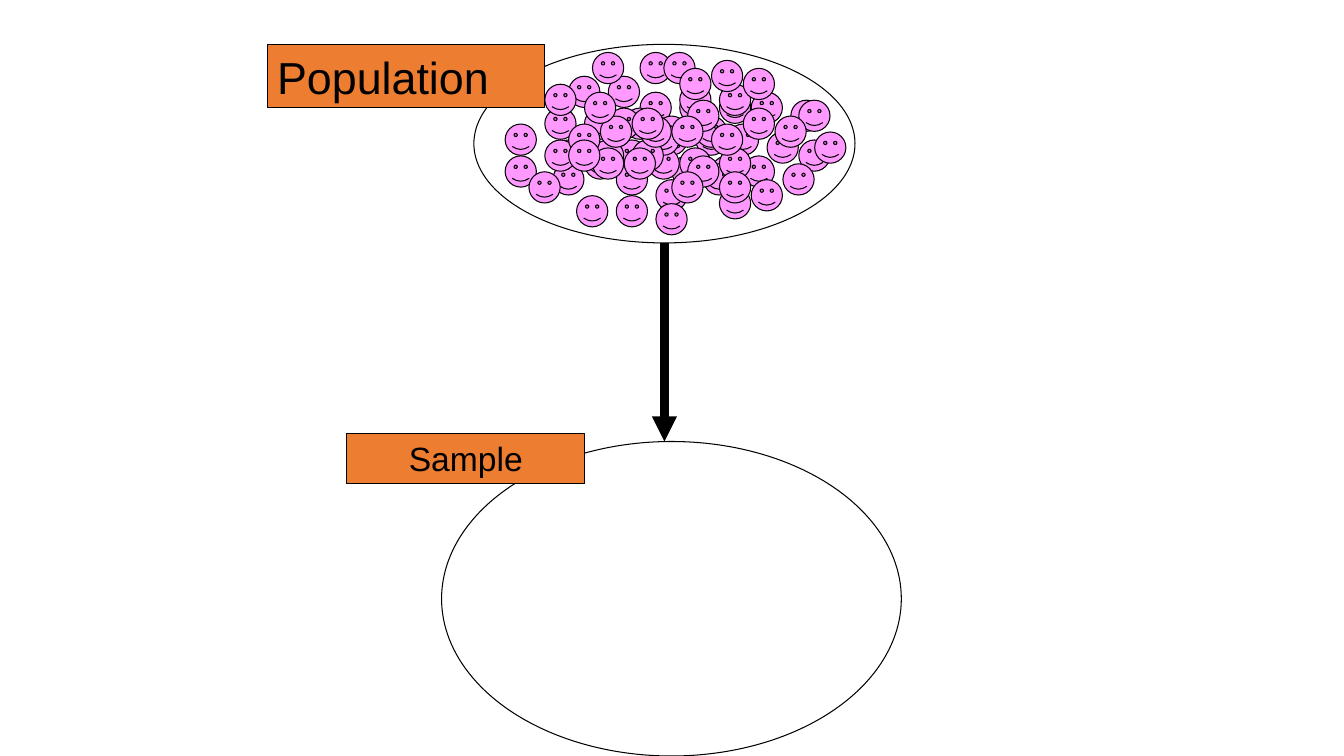
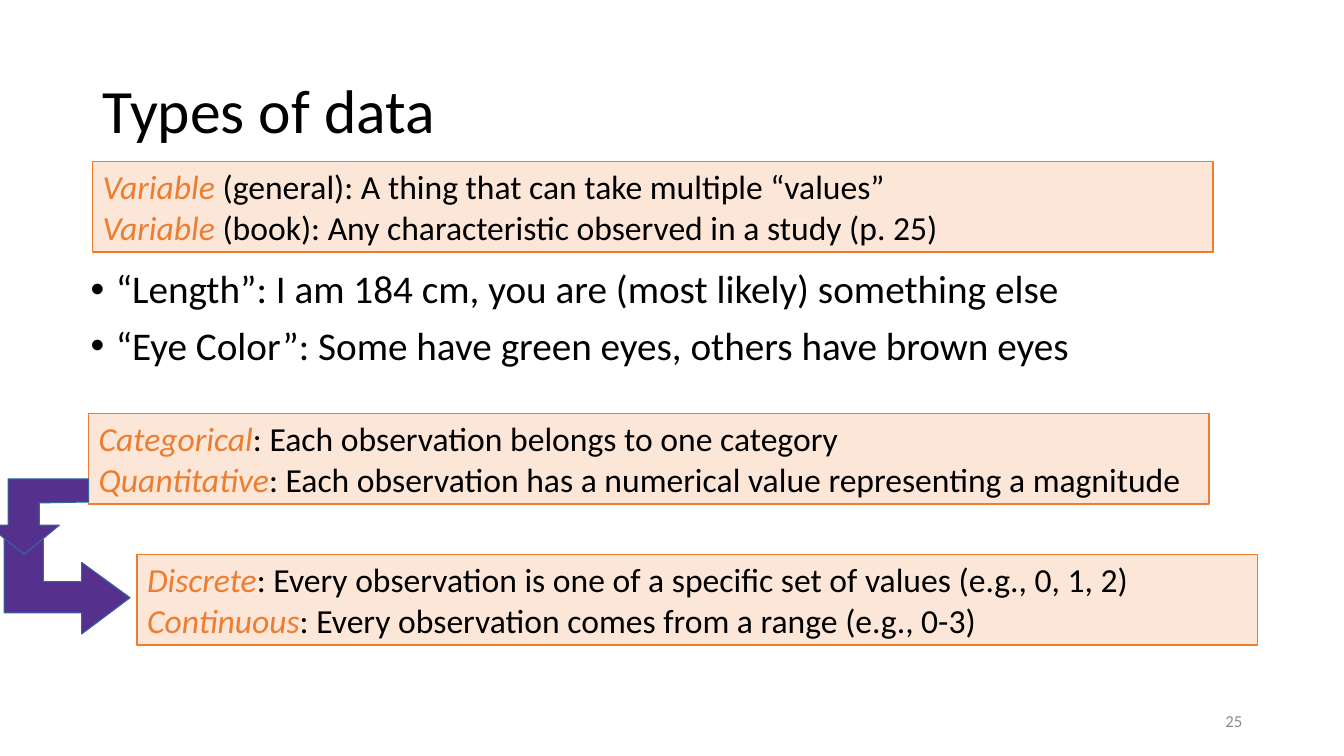
"""Build two statistics slides: population and sample, and types of data."""
from lxml import etree
from pptx import Presentation
from pptx.dml.color import RGBColor
from pptx.enum.shapes import MSO_CONNECTOR, MSO_SHAPE
from pptx.enum.text import MSO_ANCHOR, MSO_AUTO_SIZE, PP_ALIGN
from pptx.oxml.ns import qn
from pptx.util import Inches, Pt

OVAL, RECT, FACE = MSO_SHAPE.OVAL, MSO_SHAPE.RECTANGLE, MSO_SHAPE.SMILEY_FACE
LEFT, CENTER, RIGHT = PP_ALIGN.LEFT, PP_ALIGN.CENTER, PP_ALIGN.RIGHT
TOP, MIDDLE = MSO_ANCHOR.TOP, MSO_ANCHOR.MIDDLE
FIT = MSO_AUTO_SIZE.SHAPE_TO_FIT_TEXT
STRAIGHT = MSO_CONNECTOR.STRAIGHT
TITLE_ONLY, BLANK = 5, 6

COLORS = {
    "ink": "000000", "paper": "FFFFFF", "orange": "ED7D31", "pink": "FF99FF",
    "purple": "55308D", "blue": "3465A4", "grey": "8B8B8B",
}
LABEL_FRAME = {"word_wrap": True, "auto_size": FIT, "vertical_anchor": TOP}


def style(sp, fill, line, width):
    sp.shadow.inherit = False
    sp.fill.solid()
    sp.fill.fore_color.rgb = RGBColor.from_string(COLORS[fill])
    sp.line.color.rgb = RGBColor.from_string(COLORS[line])
    sp.line.width = Pt(width)


def write(tf, lines, size, font="Calibri", align=LEFT, frame=LABEL_FRAME):
    for key, value in frame.items():
        setattr(tf, key, value)
    for i, runs in enumerate(lines):
        p = tf.add_paragraph() if i else tf.paragraphs[0]
        p.alignment = align
        for text, color, italic in runs:
            r = p.add_run()
            r.text = text
            for key, value in {"name": font, "size": Pt(size), "italic": italic}.items():
                setattr(r.font, key, value)
            r.font.color.rgb = RGBColor.from_string(COLORS[color])


prs = Presentation()
prs.slide_width, prs.slide_height = Inches(13.33), Inches(7.5)

# Population and sample
s = prs.slides.add_slide(prs.slide_layouts[BLANK])

GROUPS = [
    ("Sample", 24, CENTER, (4.38, 4.38, 4.56, 3.12), (3.44, 4.3, 2.36, 0.5)),
    ("Population", 32, LEFT, (4.7, 0.44, 3.78, 1.97), (2.65, 0.44, 2.75, 0.63)),
]
CROWD_LEFT, CROWD_TOP, CROWD_WIDTH, CROWD_HEIGHT = 5.01, 0.52, 3.07, 1.5
LAST_COL, LAST_ROW = 39, 19
COL_STEP, ROW_STEP = CROWD_WIDTH / LAST_COL, CROWD_HEIGHT / LAST_ROW
FACE_SIZE = Inches(0.31)
CROWD_LAYERS_ROW_TO_COLS = [
    {0: [17, 20], 3: [8, 13], 5: [17, 22, 27, 31], 6: [36, 37], 7: [5, 10, 15, 13],
     9: [0, 19, 24, 28], 10: [33], 11: [6, 14, 37], 12: [10], 13: [0, 21, 26, 30],
     14: [6, 14, 35], 15: [3], 16: [19, 31], 18: [9, 14], 19: [19]},
    {0: [11], 4: [5, 22, 27], 7: [30], 8: [19, 24, 34], 10: [39], 11: [11, 5],
     12: [22, 18, 11], 14: [25], 17: [27]},
    {1: [26], 2: [22, 30], 6: [23], 8: [12], 9: [8, 18], 11: [8, 16],
     12: [15, 27], 13: [23], 15: [21, 27]},
    {5: [10], 8: [17, 21], 9: [26]},
    {7: [16]},
]

for text, size, align, oval, label in GROUPS:
    sp = s.shapes.add_shape(OVAL, *map(Inches, oval))
    style(sp, "paper", "ink", 0.75)
    sp = s.shapes.add_shape(RECT, *map(Inches, label))
    style(sp, "orange", "ink", 0.75)
    write(sp.text_frame, [[(text, "ink", False)]], size, "Arial", align)

for layer in CROWD_LAYERS_ROW_TO_COLS:
    for row, cols in layer.items():
        y = Inches(CROWD_TOP + row * ROW_STEP)
        for col in cols:
            x = Inches(CROWD_LEFT + col * COL_STEP)
            sp = s.shapes.add_shape(FACE, x, y, FACE_SIZE, FACE_SIZE)
            style(sp, "pink", "ink", 0.75)

arrow = s.shapes.add_connector(STRAIGHT, *map(Inches, (6.59, 2.41, 6.59, 4.38)))
arrow.line.color.rgb = RGBColor.from_string(COLORS["ink"])
arrow.line.width = Pt(6)
line_xml = arrow._element.spPr.find(qn("a:ln"))
etree.SubElement(line_xml, qn("a:tailEnd"), type="triangle")
etree.SubElement(arrow._element.spPr, qn("a:effectLst"))

# Types of data
s = prs.slides.add_slide(prs.slide_layouts[TITLE_ONLY])

title = s.shapes.title
title.left, title.top, title.width, title.height = map(Inches, (0.92, 0.4, 11.5, 1.45))
write(title.text_frame, [[("Types of data", "ink", False)]], 44,
      frame={"vertical_anchor": MIDDLE})
title.text_frame.paragraphs[0].line_spacing = 0.9

EXAMPLES = [
    "“Length”: I am 184 cm, you are (most likely) something else",
    "“Eye Color”: Some have green eyes, others have brown eyes",
]
BULLET_INDENT = Inches(0.25)
tf = s.shapes.add_textbox(*map(Inches, (0.8, 2.63, 11.5, 2.07))).text_frame
write(tf, [[(text, "ink", False)] for text in EXAMPLES], 28, frame={"word_wrap": True})
for i, p in enumerate(tf.paragraphs):
    p.line_spacing, p.space_before = 0.9, Pt(10 if i else 0)
    pPr = p._p.get_or_add_pPr()
    pPr.set("marL", str(BULLET_INDENT))
    pPr.set("indent", str(-BULLET_INDENT))
    etree.SubElement(pPr, qn("a:buFont"), typeface="Arial")
    etree.SubElement(pPr, qn("a:buChar"), char="•")

BOX_WIDTH, BOX_HEIGHT = 11.11, 0.9
DEFINITIONS = [
    (0.92, 1.6, [
        ("Variable", " (general): A thing that can take multiple “values”"),
        ("Variable", " (book): Any characteristic observed in a study (p. 25)")]),
    (0.88, 4.1, [
        ("Categorical", ": Each observation belongs to one category"),
        ("Quantitative",
         ": Each observation has a numerical value representing a magnitude")]),
    (1.36, 5.5, [
        ("Discrete",
         ": Every observation is one of a specific set of values (e.g., 0, 1, 2)"),
        ("Continuous", ": Every observation comes from a range (e.g., 0-3)")]),
]
for left, top, entries in DEFINITIONS:
    box = map(Inches, (left, top, BOX_WIDTH, BOX_HEIGHT))
    sp = s.shapes.add_shape(RECT, *box)
    style(sp, "orange", "orange", 1)
    fill_color = sp._element.spPr.find(qn("a:solidFill"))[0]
    etree.SubElement(fill_color, qn("a:alpha"), val="19000")
    lines = [[(term, "orange", True), (meaning, "ink", False)] for term, meaning in entries]
    write(sp.text_frame, lines, 24)

ARROW_TO_DISCRETE = [
    (0.81, 5.58), (0.81, 5.77), (0.43, 5.77), (0.43, 5.29), (0.04, 5.29),
    (0.04, 6.08), (0.81, 6.08), (0.81, 6.29), (1.29, 5.93)]
ARROW_FROM_QUANTITATIVE = [
    (0.59, 5.21), (0.39, 5.21), (0.39, 4.99), (0.88, 4.98), (0.88, 4.75),
    (0.08, 4.75), (0.08, 5.21), (-0.12, 5.21), (0.24, 5.5)]
for outline in (ARROW_TO_DISCRETE, ARROW_FROM_QUANTITATIVE):
    start, *corners = [(Inches(x), Inches(y)) for x, y in outline]
    builder = s.shapes.build_freeform(*start)
    builder.add_line_segments(corners, close=True)
    style(builder.convert_to_shape(), "purple", "blue", 0)

page_number = s.shapes.add_textbox(*map(Inches, (9.42, 6.95, 3, 0.4)))
write(page_number.text_frame, [[("25", "grey", False)]], 12, align=RIGHT,
      frame={"word_wrap": True, "vertical_anchor": MIDDLE})

prs.save("out.pptx")
